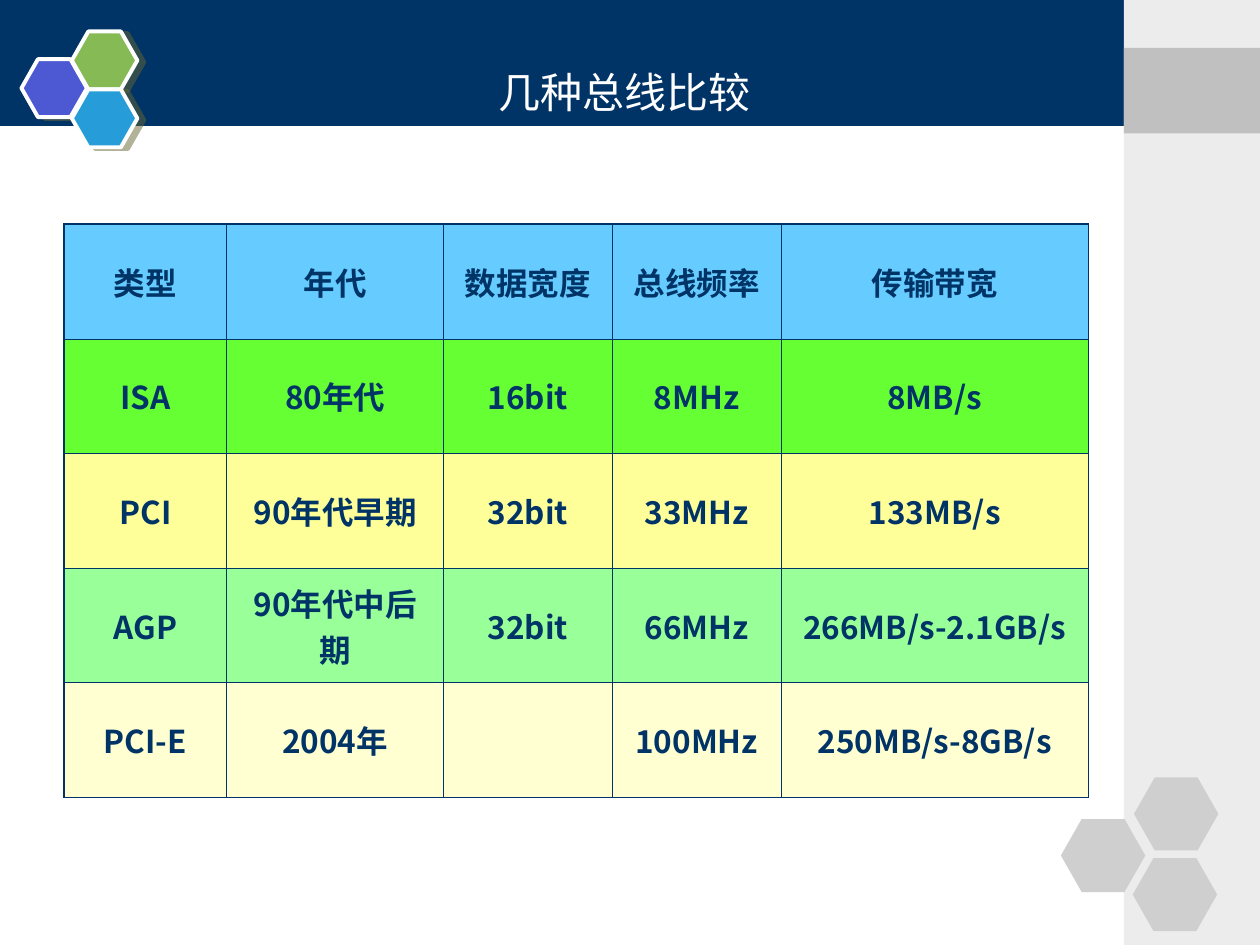
from dataclasses import dataclass

from lxml.etree import SubElement
from pptx import Presentation
from pptx.dml.color import RGBColor as Color
from pptx.enum.shapes import MSO_SHAPE as Preset
from pptx.enum.text import MSO_ANCHOR as Anchor, PP_ALIGN as Align
from pptx.oxml.ns import qn
from pptx.util import Inches, Pt

TITLE = "几种总线比较"
ROWS = [
    ("66CCFF", ["类型", "年代", "数据宽度", "总线频率", "传输带宽"]),
    ("66FF33", ["ISA", "80年代", "16bit", "8MHz", "8MB/s"]),
    ("FFFF99", ["PCI", "90年代早期", "32bit", "33MHz", "133MB/s"]),
    ("99FF99", ["AGP", "90年代中后期", "32bit", "66MHz", "266MB/s-2.1GB/s"]),
    ("FFFFD1", ["PCI-E", "2004年", "", "100MHz", "250MB/s-8GB/s"]),
]
COLUMN_WIDTHS = [1.29, 1.72, 1.34, 1.34, 2.44]
ROW_HEIGHT = 0.91
TABLE_LEFT, TABLE_TOP = 0.51, 1.78
BANNER = [(-0.03, 0.38), (8.94, 0.38), (8.93, 1.06), (-0.03, 1.07)]
EMBLEM = [(0.17, 0.47, "4C59D2"), (0.57, 0.25, "85BA54"), (0.57, 0.71, "269DD8")]
CORNER = [(8.42, 6.5), (9, 6.17), (8.99, 6.81)]


@dataclass(frozen=True)
class Theme:
    navy: str = "003366"
    white: str = "FFFFFF"
    sidebar: str = "ECECEC"
    sidebar_band: str = "C0C0C0"
    corner: str = "CFCFCF"
    shadow: str = "666633"
    title_font: str = "DejaVu Sans"
    table_font: str = "Noto Sans CJK SC"
    title_size: float = 24
    table_size: float = 18
    outline: float = 2.25
    outer_border: float = 1.08
    inner_border: float = 0.45


THEME = Theme()


def write(frame, text, *, size, font, color, bold=False):
    frame.word_wrap = True
    paragraph = frame.paragraphs[0]
    paragraph.alignment = Align.CENTER
    run = paragraph.add_run()
    run.text = text
    run.font.size = Pt(size)
    run.font.bold = bold
    run.font.name = font
    run.font.color.rgb = Color.from_string(color)
    SubElement(run.font._element, qn("a:ea"), typeface=font)


def paint(shape, fill, outline=None):
    shape.shadow.inherit = False
    shape.fill.solid()
    shape.fill.fore_color.rgb = Color.from_string(fill)
    if outline:
        shape.line.color.rgb = Color.from_string(outline)
        shape.line.width = Pt(THEME.outline)
    else:
        shape.line.fill.background()


def add_preset(slide, preset, box, fill, outline=None):
    shape = slide.shapes.add_shape(preset, *map(Inches, box))
    paint(shape, fill, outline)
    return shape


def add_hexagon(slide, box, fill, outline=None):
    hexagon = add_preset(slide, Preset.HEXAGON, box, fill, outline)
    hexagon.adjustments[0] = 0.285
    return hexagon


def cast_shadow(shape):
    effects = shape._element.spPr.find(qn("a:effectLst"))
    shadow = SubElement(effects, qn("a:outerShdw"), blurRad="0", dist=str(Pt(4.1)),
                        dir=str(14 * 60000), algn="ctr", rotWithShape="0")
    tint = SubElement(shadow, qn("a:srgbClr"), val=THEME.shadow)
    SubElement(tint, qn("a:alpha"), val="50000")


def add_borders(cell, outer_sides):
    properties = cell._tc.get_or_add_tcPr()
    for side in "LRTB":
        width = THEME.outer_border if side in outer_sides else THEME.inner_border
        border = SubElement(properties, qn(f"a:ln{side}"), w=str(Pt(width)))
        SubElement(SubElement(border, qn("a:solidFill")), qn("a:srgbClr"), val=THEME.navy)


def add_decoration(slide):
    builder = slide.shapes.build_freeform(*BANNER[0], scale=Inches(1))
    builder.add_line_segments(BANNER[1:], close=True)
    paint(builder.convert_to_shape(), THEME.navy)
    for left, top, color in EMBLEM:
        cast_shadow(add_hexagon(slide, (left, top, 0.52, 0.46), color, THEME.white))
    add_preset(slide, Preset.RECTANGLE, (8.92, 0, 1.08, 7.5), THEME.sidebar)
    add_preset(slide, Preset.RECTANGLE, (8.92, 0.38, 1.08, 0.68), THEME.sidebar_band)
    for left, top in CORNER:
        add_hexagon(slide, (left, top, 0.67, 0.58), THEME.corner)


def add_comparison(slide):
    last_row, last_column = len(ROWS) - 1, len(COLUMN_WIDTHS) - 1
    size = (sum(COLUMN_WIDTHS), ROW_HEIGHT * len(ROWS))
    table = slide.shapes.add_table(len(ROWS), len(COLUMN_WIDTHS),
                                   *map(Inches, (TABLE_LEFT, TABLE_TOP, *size))).table
    table.first_row = table.horz_banding = False
    for column, width in zip(table.columns, COLUMN_WIDTHS):
        column.width = Inches(width)
    for r, (fill, entries) in enumerate(ROWS):
        table.rows[r].height = Inches(ROW_HEIGHT)
        for c, entry in enumerate(entries):
            cell = table.cell(r, c)
            cell.vertical_anchor = Anchor.MIDDLE
            edges = {"L": c == 0, "R": c == last_column, "T": r == 0, "B": r == last_row}
            add_borders(cell, [side for side, outer in edges.items() if outer])
            cell.fill.solid()
            cell.fill.fore_color.rgb = Color.from_string(fill)
            if entry:
                write(cell.text_frame, entry, size=THEME.table_size,
                      font=THEME.table_font, color=THEME.navy, bold=True)


def main():
    """Build the slide that compares several computer buses."""
    deck = Presentation()
    deck.slide_width, deck.slide_height = Inches(10), Inches(7.5)
    slide = deck.slides.add_slide(deck.slide_layouts[6])
    add_decoration(slide)
    heading = slide.shapes.add_textbox(*map(Inches, (1.25, 0.42, 7.42, 0.62))).text_frame
    heading.vertical_anchor = Anchor.MIDDLE
    write(heading, TITLE, size=THEME.title_size, font=THEME.title_font, color=THEME.white)
    add_comparison(slide)
    deck.save("out.pptx")


if __name__ == "__main__":
    main()
